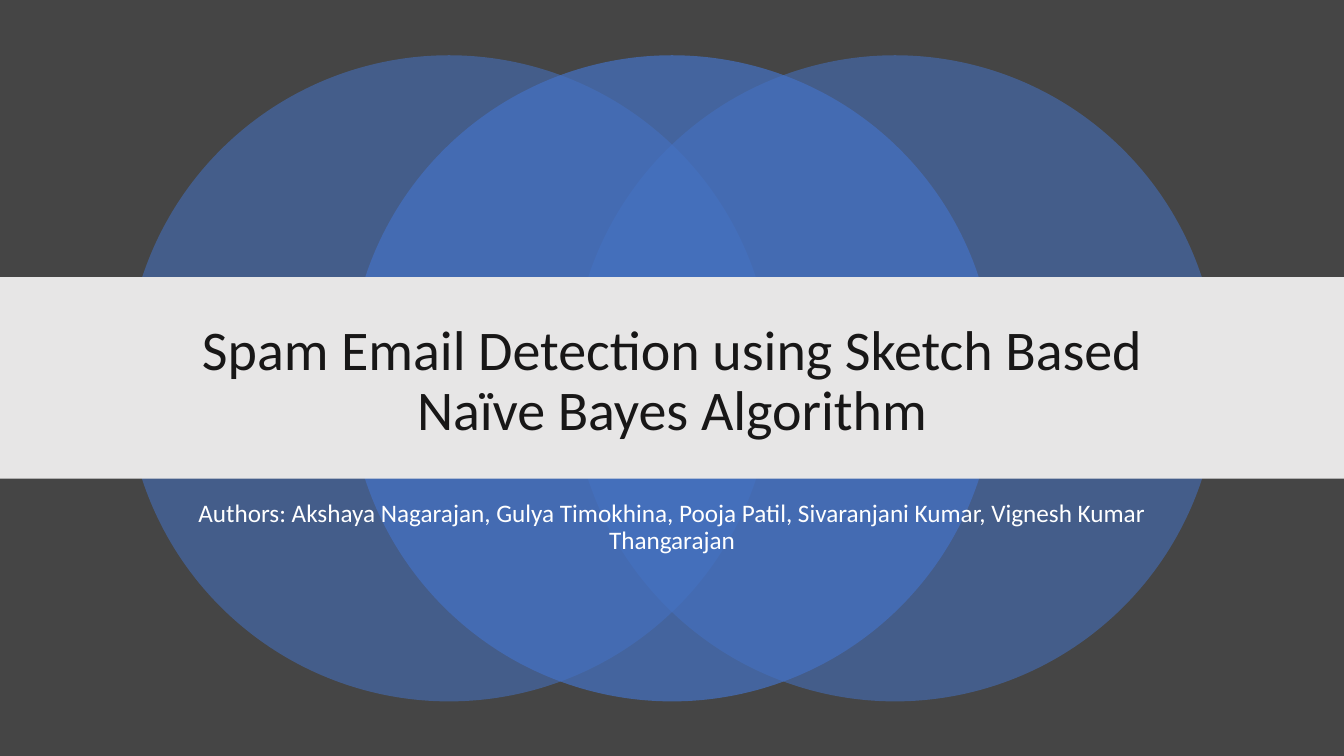
from lxml import etree
from pptx import Presentation
from pptx.dml.color import RGBColor
from pptx.enum.shapes import MSO_SHAPE
from pptx.enum.text import MSO_ANCHOR, MSO_AUTO_SIZE, PP_ALIGN
from pptx.oxml.ns import qn
from pptx.util import Pt

ELLIPSE, RECTANGLE = MSO_SHAPE.OVAL, MSO_SHAPE.RECTANGLE
TOP, MIDDLE = MSO_ANCHOR.TOP, MSO_ANCHOR.MIDDLE
CENTER = PP_ALIGN.CENTER
NO_AUTOFIT = MSO_AUTO_SIZE.NONE

CHARCOAL = RGBColor(0x45, 0x45, 0x45)
BLUE = RGBColor(0x44, 0x72, 0xC4)
LIGHT_GRAY = RGBColor(0xE7, 0xE6, 0xE6)
NEAR_BLACK = RGBColor(0x18, 0x17, 0x17)
WHITE = RGBColor(0xFF, 0xFF, 0xFF)

SLIDE_WIDTH, SLIDE_HEIGHT = 960, 540
TEXT_LEFT, TEXT_WIDTH = 120, 720
CIRCLE_DIAMETER, CIRCLE_TOP, CIRCLE_STEP = 461.5, 39.5, 159.3


def write_text(text_frame, text, *, font, size, color, anchor, space_before=0):
    text_frame.word_wrap = True
    text_frame.auto_size = NO_AUTOFIT
    text_frame.vertical_anchor = anchor
    paragraph = text_frame.paragraphs[0]
    paragraph.alignment = CENTER
    paragraph.line_spacing = 0.9
    paragraph.space_before = Pt(space_before)
    run = paragraph.add_run()
    run.text = text
    run.font.name = font
    run.font.size = Pt(size)
    run.font.color.rgb = color


class TitleSlide:
    """Holds the slide and its font, and adds elements from back to front."""

    def __init__(self, presentation, font):
        self.font = font
        self.slide = presentation.slides.add_slide(presentation.slide_layouts[0])
        background = self.slide.background.fill
        background.solid()
        background.fore_color.rgb = CHARCOAL

    def shape(self, kind, left, top, width, height, color, opacity=100):
        shape = self.slide.shapes.add_shape(
            kind, Pt(left), Pt(top), Pt(width), Pt(height))
        shape.shadow.inherit = False
        shape.line.fill.background()
        shape.fill.solid()
        shape.fill.fore_color.rgb = color
        if opacity < 100:
            color_element = shape._element.spPr.find(".//" + qn("a:srgbClr"))
            etree.SubElement(color_element, qn("a:alpha"), val=str(opacity * 1000))

    def circle(self, position, opacity):
        """Add a circle, position counting steps from the slide's centre."""
        left = (SLIDE_WIDTH - CIRCLE_DIAMETER) / 2 + position * CIRCLE_STEP
        self.shape(ELLIPSE, left, CIRCLE_TOP, CIRCLE_DIAMETER, CIRCLE_DIAMETER,
                   BLUE, opacity)

    def placeholder(self, index, text, top, height, **text_format):
        """Fill a placeholder and bring it in front of the shapes so far."""
        placeholder = self.slide.placeholders[index]
        placeholder.left, placeholder.top = Pt(TEXT_LEFT), Pt(top)
        placeholder.width, placeholder.height = Pt(TEXT_WIDTH), Pt(height)
        write_text(placeholder.text_frame, text, font=self.font, **text_format)
        element = placeholder._element
        element.getparent().append(element)


def main():
    presentation = Presentation()
    presentation.slide_width = Pt(SLIDE_WIDTH)
    presentation.slide_height = Pt(SLIDE_HEIGHT)

    title_slide = TitleSlide(presentation, "Calibri")
    for position, opacity in ((-1, 55), (1, 55), (0, 70)):
        title_slide.circle(position, opacity)
    title_slide.placeholder(
        1,
        "Authors: Akshaya Nagarajan, Gulya Timokhina, Pooja Patil, "
        "Sivaranjani Kumar, Vignesh Kumar Thangarajan",
        354, 60, size=18, color=WHITE, anchor=TOP, space_before=10)
    title_slide.shape(RECTANGLE, 0, 198, SLIDE_WIDTH, 144, LIGHT_GRAY)
    title_slide.placeholder(
        0, "Spam Email Detection using Sketch Based Naïve Bayes Algorithm",
        219, 108.5, size=40, color=NEAR_BLACK, anchor=MIDDLE)

    presentation.save("out.pptx")


if __name__ == "__main__":
    main()
